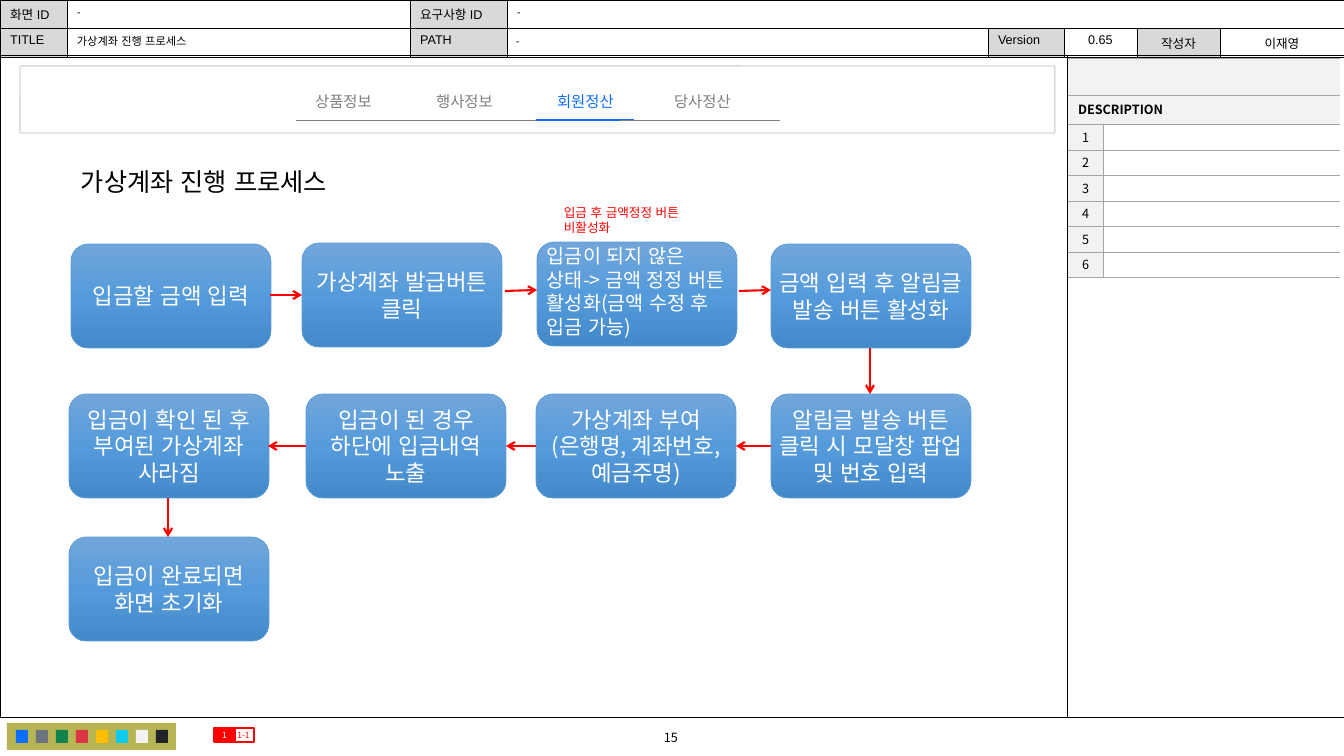
from lxml import etree
from pptx import Presentation, util as u
from pptx.dml.color import RGBColor
from pptx.enum import lang, shapes, text
from pptx.oxml.ns import qn

# Content
C = {"black": "000000", "white": "FFFFFF", "label": "D9D9D9", "pale": "F2F2F2", "rule": "A6A6A6",
     "gray": "808080", "blue": "0D6EFD", "red": "FF0000", "olive": "B7B553", "box_line": "5B9BD5"}
SWATCHES = ["0D6EFD", "6C757D", "10834E", "DC3545", "FFBE00", "0DCAF0", "F2F2F2", "212529"]
BOX_STOPS = [(0, "71A6DB"), (50, "559BDB"), (100, "448ACA")]
SANS, ARIAL = "Noto Sans CJK KR", "Arial"
HEADER = [["화면 ID", "", "요구사항 ID", "", "", "", "", ""],
          ["TITLE", "", "PATH", "", "Version", "0.65", "작성자", "이재영"]]
HEADER_COLS = [67, 343, 97, 481, 76, 73, 83, 124]
HEADER_VALUES = [("-", 507, 1, 836, 23), ("-", 67, 1, 343, 23),
                 ("가상계좌 진행 프로세스", 67, 32, 341, 20), ("-", 506, 30, 478, 23)]
DESCRIPTION = [["", ""], ["DESCRIPTION", ""]] + [[str(n), ""] for n in range(1, 7)]
TITLE = "가상계좌 진행 프로세스"
TABS = [("상품정보", 302, "gray"), ("행사정보", 423, "gray"),
        ("회원정산", 544, "blue"), ("당사정산", 661, "gray")]
TAB_RULES = [(296, 390, "gray", 0.25), (390, 488, "gray", 0.25), (488, 585, "gray", 0.5),
             (536, 634, "blue", 1.5), (620, 780, "gray", 0.5)]
STEPS = [(71, 244, ["입금할 금액 입력"]),
         (302, 243, ["가상계좌 발급버튼 클릭"]),
         (537, 242, []),
         (771, 244, ["금액 입력 후 알림글 발송 버튼 활성화"]),
         (771, 394, ["알림글 발송 버튼 클릭 시 모달창 팝업 및 번호 입력"]),
         (536, 394, ["가상계좌 부여", "(은행명, 계좌번호, 예금주명)"]),
         (306, 394, ["입금이 된 경우 하단에 입금내역 노출"]),
         (69, 394, ["입금이 확인 된 후 부여된 가상계좌", "사라짐"]),
         (69, 537, ["입금이 완료되면 화면 초기화"])]
UNPAID = "입금이 되지 않은 상태-> 금액 정정 버튼 활성화(금액 수정 후 입금 가능)"
NOTE = ["입금 후 금액정정 버튼", "비활성화"]
ARROWS = [(270, 295, 302, 295), (505, 291, 537, 290), (739, 291, 771, 290), (870, 348, 870, 394),
          (771, 446, 736, 446), (536, 446, 506, 446), (306, 446, 268, 446), (168, 498, 168, 537)]

PX = 914400 / 100.8
LEFT, CENTER = text.PP_ALIGN.LEFT, text.PP_ALIGN.CENTER
TOP, MIDDLE = text.MSO_ANCHOR.TOP, text.MSO_ANCHOR.MIDDLE


def px(*values):
    return [u.Emu(round(v * PX)) for v in values]


def rgb(color):
    return RGBColor.from_string(C.get(color, color))


def write(tf, lines, size, color="black", align=LEFT, font=SANS, bold=False, spacing=None):
    for i, line in enumerate(lines):
        p = tf.paragraphs[0] if i == 0 else tf.add_paragraph()
        p.alignment = align
        if spacing:
            p.line_spacing = spacing
        f = p.font
        f.size, f.bold, f.name, f.color.rgb = u.Pt(size), bold, font, rgb(color)
        etree.SubElement(p._p.pPr.find(qn("a:defRPr")), qn("a:ea"), typeface=SANS)
        if line:
            r = p.add_run()
            r.text = line
            # The bank details may break inside a word
            if not line.startswith("("):
                r.font.language_id = lang.MSO_LANGUAGE_ID.KOREAN
        else:
            etree.SubElement(p._p, qn("a:endParaRPr"), sz=str(size * 100))


def add_text(lines, x, y, w, h, size, wrap=True, anchor=TOP, **style):
    tf = slide.shapes.add_textbox(*px(x, y, w, h)).text_frame
    tf.word_wrap, tf.vertical_anchor = wrap, anchor
    write(tf, lines, size, **style)


def add_box(x, y, w, h, fill=None, line=None, width=1.0, kind=shapes.MSO_SHAPE.RECTANGLE):
    s = slide.shapes.add_shape(kind, *px(x, y, w, h))
    s.shadow.inherit = False
    if fill:
        s.fill.solid()
        s.fill.fore_color.rgb = rgb(fill)
    else:
        s.fill.background()
    if line:
        s.line.color.rgb, s.line.width = rgb(line), u.Pt(width)
    else:
        s.line.fill.background()
    return s


def fill_box(s, lines, size, color, spacing=None):
    tf = s.text_frame
    tf.margin_left = tf.margin_right = tf.margin_top = tf.margin_bottom = 0
    tf.word_wrap, tf.vertical_anchor = True, MIDDLE
    write(tf, lines, size, color, CENTER, spacing=spacing)


def add_line(x1, y1, x2, y2, color, width, arrow=False):
    s = slide.shapes.add_connector(shapes.MSO_CONNECTOR.STRAIGHT, *px(x1, y1, x2, y2))
    s.line.color.rgb, s.line.width = rgb(color), u.Pt(width)
    if arrow:
        etree.SubElement(s.line._get_or_add_ln(), qn("a:tailEnd"), type="arrow")
    etree.SubElement(s._element.spPr, qn("a:effectLst"))


def add_table(x, y, cols, rows):
    s = slide.shapes.add_table(len(rows), len(cols), *px(x, y, sum(cols), sum(rows)))
    table = s.table
    table.first_row = table.horz_banding = False
    for col, w in zip(table.columns, px(*cols)):
        col.width = w
    for row, h in zip(table.rows, px(*rows)):
        row.height = h
    return table


def style_cell(cell, fill, border, sides):
    tc_pr = cell._tc.get_or_add_tcPr()
    for side in "LRTB":
        ln = etree.SubElement(tc_pr, qn("a:ln" + side), w=str(u.Pt(0.5)))
        if side in sides:
            solid = etree.SubElement(ln, qn("a:solidFill"))
            etree.SubElement(solid, qn("a:srgbClr"), val=C[border])
        else:
            etree.SubElement(ln, qn("a:noFill"))
    if fill:
        cell.fill.solid()
        cell.fill.fore_color.rgb = rgb(fill)
    else:
        cell.fill.background()


prs = Presentation()
prs.slide_width, prs.slide_height = px(1344, 756)
slide = prs.slides.add_slide(prs.slide_layouts[6])

# Header table and page frame
header = add_table(0, 0, HEADER_COLS, [28, 28])
for i, row in enumerate(HEADER):
    for j, label in enumerate(row):
        cell = header.cell(i, j)
        shaded = label and j % 2 == 0
        style_cell(cell, "label" if shaded else "white", "black", "LRTB")
        write(cell.text_frame, [label], 9, align=CENTER if j > 4 else LEFT, font=ARIAL)
header.cell(0, 3).merge(header.cell(0, 7))
add_box(0, 55, 1344, 662, line="black", width=0.25)
add_line(1067, 56, 1067, 717, "black", 0.5)
for label, *place in HEADER_VALUES:
    add_text([label], *place, 8, anchor=MIDDLE, spacing=0.9)

# Footer: palette, page number, badge
add_box(7, 723, 169, 27, "olive")
for i, color in enumerate(SWATCHES):
    add_box(16 + 20 * i, 730, 12, 13, color)
add_text(["15"], 541, 725, 260, 25, 9, anchor=MIDDLE, align=CENTER)
fill_box(add_box(233, 728, 21, 14, line="red"), ["1-1"], 6, "red")
fill_box(add_box(214, 728, 21, 14, "red", "red"), ["1"], 6, "white")

# Description table
description = add_table(1068, 58, [35, 237], [37, 29] + [26, 25] * 3)
for i, row in enumerate(DESCRIPTION):
    for j, label in enumerate(row):
        cell = description.cell(i, j)
        numbered = i > 1
        sides = "TB" if not numbered else "RTB" if j == 0 else "LTB"
        style_cell(cell, "pale" if j == 0 or not numbered else None, "rule", sides)
        cell.vertical_anchor = MIDDLE
        if numbered:
            cell.margin_left = cell.margin_right = cell.margin_top = cell.margin_bottom = 0
        write(cell.text_frame, [label], 9, align=CENTER if numbered else LEFT, bold=not numbered)
for i in (0, 1):
    description.cell(i, 0).merge(description.cell(i, 1))

# Tab bar
panel = add_box(20, 66, 1035, 67, "white", "label", kind=shapes.MSO_SHAPE.ROUNDED_RECTANGLE)
panel.adjustments[0] = 0.02
for label, x, color in TABS:
    add_text([label], x, 87, 83, 29, 11, wrap=False, color=color, align=CENTER, spacing=u.Pt(13))
for x1, x2, color, width in TAB_RULES:
    add_line(x1, 120, x2, 120, color, width)

# Process flow
add_text([TITLE], 71, 162, 394, 40, 18, spacing=u.Pt(21.5))
for x, y, lines in STEPS:
    s = add_box(x, y, 200, 104, "box_line", "box_line", 0.5, shapes.MSO_SHAPE.ROUNDED_RECTANGLE)
    s.fill.gradient()
    s.fill.gradient_angle = 270
    stops = s._element.spPr.find(qn("a:gradFill")).find(qn("a:gsLst"))
    stops.clear()
    for pos, color in BOX_STOPS:
        gs = etree.SubElement(stops, qn("a:gs"), pos=str(pos * 1000))
        etree.SubElement(gs, qn("a:srgbClr"), val=color)
    if lines:
        fill_box(s, lines, 16, "white", u.Pt(19.2))
add_text([UNPAID], 537, 239, 202, 136, 14, color="white", spacing=u.Pt(16.8))
for arrow in ARROWS:
    add_line(*arrow, "red", 1.5, arrow=True)
add_text(NOTE, 554, 200, 152, 40, 9, wrap=False, color="red", spacing=u.Pt(10.8))

prs.save("out.pptx")
